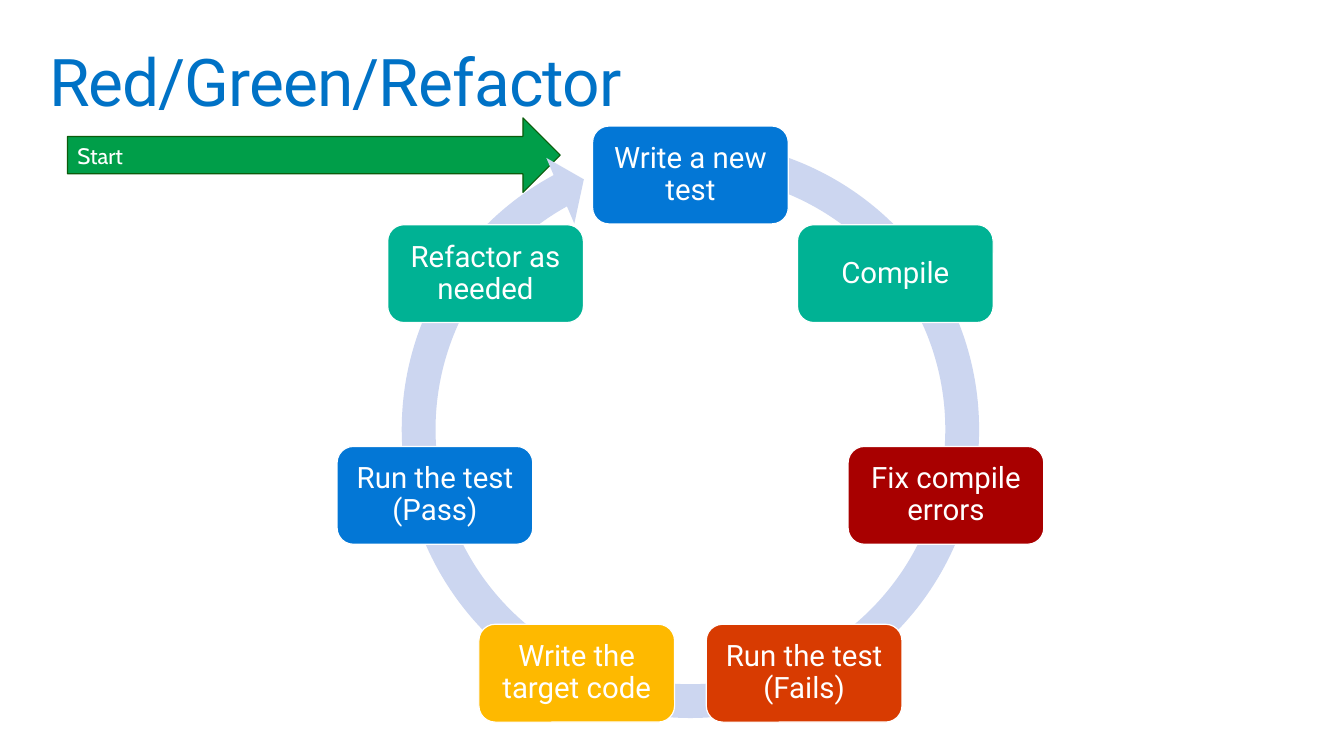
from math import cos, pi, sin

from pptx import Presentation
from pptx.dml.color import RGBColor
from pptx.enum import shapes, text
from pptx.util import Pt

WHITE = RGBColor(0xFF, 0xFF, 0xFF)
TITLE_BLUE = RGBColor(0x00, 0x72, 0xC6)
BLUE = RGBColor(0x03, 0x77, 0xD6)
TEAL = RGBColor(0x00, 0xB2, 0x94)
RED = RGBColor(0xA8, 0x00, 0x00)
ORANGE = RGBColor(0xD8, 0x3B, 0x01)
YELLOW = RGBColor(0xFE, 0xB9, 0x00)
GREEN = RGBColor(0x00, 0x9E, 0x49)
DARK_GREEN = RGBColor(0x0C, 0x5C, 0x0C)
RING_BLUE = RGBColor(0xCC, 0xD6, 0xF0)

TITLE = "Red/Green/Refactor"
START = "Start"
STEPS = [  # clockwise from the top
    ("Write a new test", BLUE),
    ("Compile", TEAL),
    ("Fix compile errors", RED),
    ("Run the test (Fails)", ORANGE),
    ("Write the target code", YELLOW),
    ("Run the test (Pass)", BLUE),
    ("Refactor as needed", TEAL),
]

CENTER_X, CENTER_Y, RADIUS = 493.2, 312.2, 187.2
STEP_WIDTH, STEP_HEIGHT = 139.8, 69.9
RING_TOP, RING_SIZE = 87.1, 439.2
RING_ADJUSTMENTS = (0.055, 3.307, 144.84, 169.684, 0.058)


def add_figure(page, kind, left, top, width, height, fill, line=None):
    figure = page.shapes.add_shape(kind, Pt(left), Pt(top), Pt(width), Pt(height))
    figure.shadow.inherit = False
    figure.fill.solid()
    figure.fill.fore_color.rgb = fill
    if line is None:
        figure.line.fill.background()
    else:
        figure.line.color.rgb = line
        figure.line.width = Pt(0.85)
    return figure


def write(box, words, font, size, color, align, anchor, inset=7.2, spacing=1.0):
    frame = box.text_frame
    frame.word_wrap = True
    frame.vertical_anchor = anchor
    frame.margin_left = frame.margin_right = Pt(inset)
    frame.margin_top = frame.margin_bottom = Pt(inset)
    para = frame.paragraphs[0]
    para.text = words
    para.alignment = align
    para.line_spacing = spacing
    para.font.name = font
    para.font.size = Pt(size)
    para.font.color.rgb = color
    return para


def add_title(page):
    box = page.shapes.add_textbox(Pt(28), Pt(28), Pt(903.6), Pt(70.6))
    para = write(box, TITLE, "Roboto", 47, TITLE_BLUE,
                 text.PP_ALIGN.LEFT, text.MSO_ANCHOR.TOP, spacing=0.9)
    para.runs[0].font._element.set("spc", "-70")  # tighter letters


def add_start_arrow(page):
    arrow = add_figure(page, shapes.MSO_SHAPE.RIGHT_ARROW,
                       48.2, 84.2, 352, 53.3, GREEN, DARK_GREEN)
    write(arrow, START, "Cabin", 16, WHITE,
          text.PP_ALIGN.LEFT, text.MSO_ANCHOR.MIDDLE)
    arrow.text_frame.margin_top = arrow.text_frame.margin_bottom = Pt(3.6)


def add_cycle(page):
    ring = add_figure(page, shapes.MSO_SHAPE.CIRCULAR_ARROW,
                      CENTER_X - RING_SIZE / 2, RING_TOP,
                      RING_SIZE, RING_SIZE, RING_BLUE)
    for index, value in enumerate(RING_ADJUSTMENTS):
        ring.adjustments[index] = value

    for index, (words, fill) in enumerate(STEPS):
        angle = 2 * pi * index / len(STEPS)
        left = CENTER_X + RADIUS * sin(angle) - STEP_WIDTH / 2
        top = CENTER_Y - RADIUS * cos(angle) - STEP_HEIGHT / 2
        step = add_figure(page, shapes.MSO_SHAPE.ROUNDED_RECTANGLE,
                          left, top, STEP_WIDTH, STEP_HEIGHT, fill, WHITE)
        write(step, words, "Roboto", 21, WHITE, text.PP_ALIGN.CENTER,
              text.MSO_ANCHOR.MIDDLE, inset=6.3, spacing=0.9)


def main():
    deck = Presentation()
    deck.slide_width, deck.slide_height = Pt(960), Pt(540)
    page = deck.slides.add_slide(deck.slide_layouts[6])
    add_title(page)
    add_start_arrow(page)
    add_cycle(page)
    deck.save("out.pptx")


if __name__ == "__main__":
    main()
